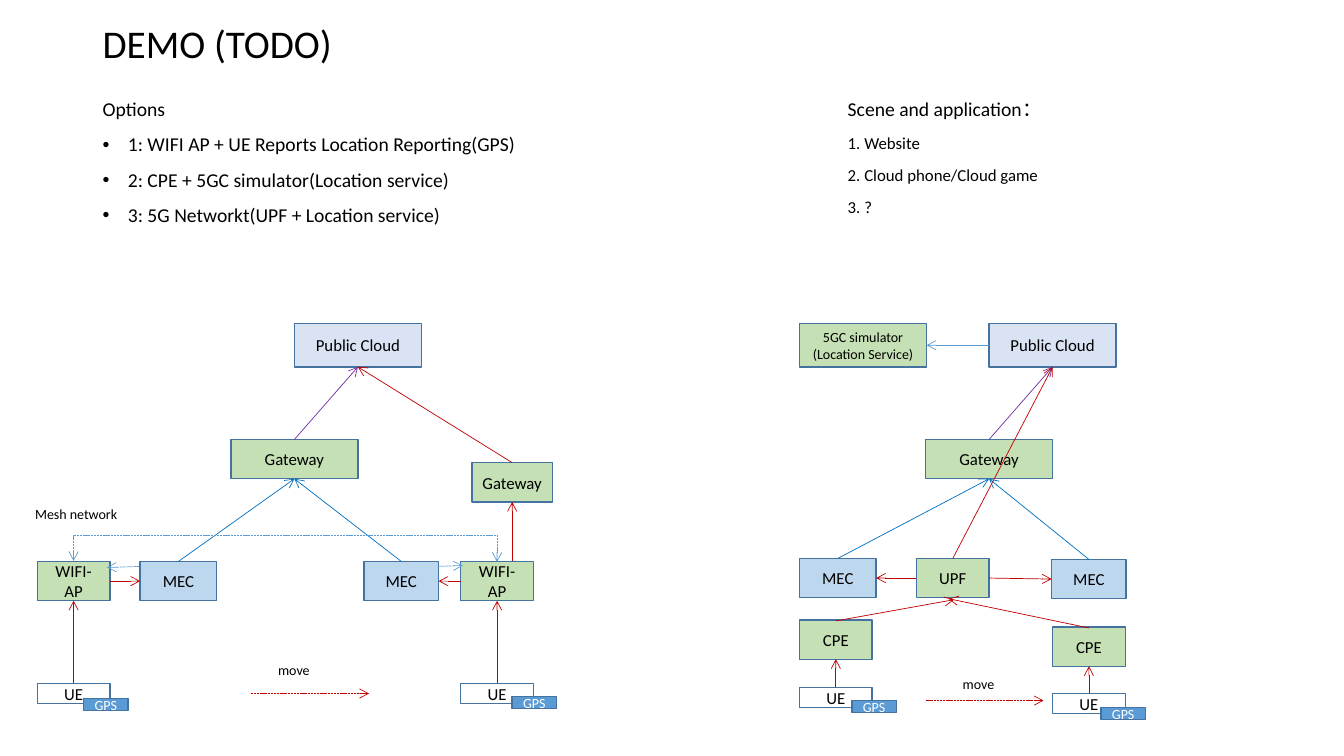
import lxml.etree
import pptx
import pptx.dml.color
import pptx.enum.dml
import pptx.enum.shapes
import pptx.enum.text
import pptx.oxml.ns
import pptx.util

SCALE = 9144
COLORS = {
    "black": "000000", "white": "FFFFFF", "border": "43739E", "green": "C5E0B4",
    "sky": "BDD7EE", "lavender": "DAE3F3", "blue": "5B9BD5", "red": "C00000",
    "uplink": "0070C0", "purple": "7030A0",
}
TOP, LEFT, BOTTOM, RIGHT = range(4)
CLOUD, GATEWAY, RADIO, UE, GPS = (126, 43), (126, 39), (72, 39), (72, 20), (44, 12)


def px(length):
    """Turn px into EMU."""
    return pptx.util.Emu(int(length * SCALE))


def rgb(name):
    """Look up a named colour."""
    return pptx.dml.color.RGBColor.from_string(COLORS[name])


def add_xml(parent, tag, **attributes):
    """Append a DrawingML element to a parent."""
    return lxml.etree.SubElement(parent, pptx.oxml.ns.qn(tag), attributes)


def write(frame, lines, size=12, color="black", align="LEFT", anchor="TOP",
          spacing=None, before=None, bullet=False):
    """Add lines as paragraphs, using up the empty first one."""
    frame.word_wrap = True
    frame.vertical_anchor = getattr(pptx.enum.text.MSO_ANCHOR, anchor)
    for line in lines:
        last = frame.paragraphs[-1]
        paragraph = frame.add_paragraph() if last.runs else last
        paragraph.alignment = getattr(pptx.enum.text.PP_ALIGN, align)
        if spacing:
            paragraph.line_spacing = spacing
        if before:
            paragraph.space_before = pptx.util.Pt(before)
        run = paragraph.add_run()
        run.text = line
        run.font.name = "Calibri"
        run.font.size = pptx.util.Pt(size)
        run.font.color.rgb = rgb(color)
        if bullet:
            properties = paragraph._p.get_or_add_pPr()
            properties.set("marL", str(px(25)))
            properties.set("indent", str(px(-25)))
            add_xml(properties, "a:buFont", typeface="Arial")
            add_xml(properties, "a:buChar", char="•")


def text_frame(slide, left, top, width, height):
    """Add an empty text box and return its frame."""
    return slide.shapes.add_textbox(px(left), px(top), px(width), px(height)).text_frame


def node(slide, origin, offset, size, label, fill=None, font=12, color="black"):
    """Draw a labelled network element."""
    left, top = origin[0] + offset[0], origin[1] + offset[1]
    element = slide.shapes.add_shape(
        pptx.enum.shapes.MSO_SHAPE.RECTANGLE, px(left), px(top), px(size[0]), px(size[1]))
    element.shadow.inherit = False
    if fill:
        element.fill.solid()
        element.fill.fore_color.rgb = rgb(fill)
    else:
        element.fill.background()
    element.line.color.rgb = rgb("border")
    element.line.width = pptx.util.Pt(1)
    write(element.text_frame, label.split("\n"), size=font, color=color,
          align="CENTER", anchor="MIDDLE")
    return element


def style_line(line, color, dashed, both_ends=False):
    """Give a connector its colour, dash and open arrowheads."""
    line.line.color.rgb = rgb(color)
    line.line.width = pptx.util.Pt(0.5)
    if dashed:
        line.line.dash_style = pptx.enum.dml.MSO_LINE.SQUARE_DOT
    outline = line._element.spPr.find(pptx.oxml.ns.qn("a:ln"))
    if both_ends:
        add_xml(outline, "a:headEnd", type="arrow")
    add_xml(outline, "a:tailEnd", type="arrow")
    add_xml(line._element.spPr, "a:effectLst")


def arrow(slide, origin, start, end, color="red", dashed=False):
    """Draw an arrow between two points of a diagram."""
    ends = [px(origin[axis] + point[axis]) for point in (start, end) for axis in (0, 1)]
    line = slide.shapes.add_connector(pptx.enum.shapes.MSO_CONNECTOR.STRAIGHT, *ends)
    style_line(line, color, dashed)
    return line


def link(slide, source, source_side, target, target_side, color="red"):
    """Glue an arrow to the sides of two network elements."""
    line = arrow(slide, (0, 0), (0, 0), (0, 0), color)
    line.begin_connect(source, source_side)
    line.end_connect(target, target_side)


def mesh_link(slide, origin, start_x, end_x, y, rise):
    """Draw the dashed elbow that rises above two access points."""
    span, middle = end_x - start_x, origin[0] + (start_x + end_x) / 2
    line = slide.shapes.add_connector(
        pptx.enum.shapes.MSO_CONNECTOR.ELBOW, 0, 0, px(1), px(span))
    line.left, line.top = px(middle - 0.5), px(origin[1] + y - span / 2)
    frame = line._element.spPr.find(pptx.oxml.ns.qn("a:xfrm"))
    frame.set("rot", "16200000")
    frame.set("flipH", "1")
    geometry = line._element.spPr.find(pptx.oxml.ns.qn("a:prstGeom"))
    guides = geometry.find(pptx.oxml.ns.qn("a:avLst"))
    add_xml(guides, "a:gd", name="adj1", fmla=f"val {-rise * 100000}")
    style_line(line, "blue", True, both_ends=True)


def movement(slide, origin, start, label_offset, label_width):
    """Draw the dashed arrow along which the device moves."""
    arrow(slide, origin, start, (start[0] + 117, start[1]), dashed=True)
    write(text_frame(slide, origin[0] + label_offset[0], origin[1] + label_offset[1],
                     label_width, 27), ["move"], size=10)


def device(slide, origin, offset, gps_offset, radio):
    """Draw a UE with its GPS tag and its arrow to the radio above."""
    ue = node(slide, origin, offset, UE, "UE")
    link(slide, ue, TOP, radio, BOTTOM)
    node(slide, origin, gps_offset, GPS, "GPS", "blue", font=10, color="white")


def heading(slide, left, top, width, height):
    """Write the slide title."""
    write(text_frame(slide, left, top, width, height), ["DEMO (TODO)"], size=28,
          anchor="MIDDLE", spacing=0.9)


def options(slide, left, top, width, height):
    """List the demo options."""
    frame = text_frame(slide, left, top, width, height)
    write(frame, ["Options"], size=14, spacing=0.9, before=10)
    write(frame, ["1: WIFI AP + UE Reports Location Reporting(GPS)",
                  "2: CPE + 5GC simulator(Location service)",
                  "3: 5G Networkt(UPF + Location service)"],
          size=14, spacing=0.9, before=10, bullet=True)


def scenes(slide, left, top, width, height):
    """List the scenes and applications."""
    frame = text_frame(slide, left, top, width, height)
    write(frame, ["Scene and application："], size=14, spacing=0.9, before=10)
    write(frame, ["1. Website", "2. Cloud phone/Cloud game", "3. ?"],
          spacing=0.9, before=10)


def wifi_diagram(slide, *origin):
    """Draw the option with meshed WIFI access points."""
    cloud = node(slide, origin, (267, 0), CLOUD, "Public Cloud", "lavender")
    gateway = node(slide, origin, (204, 115), GATEWAY, "Gateway", "green")
    side_gateway = node(slide, origin, (443, 138), (80, 39), "Gateway", "green")
    link(slide, gateway, TOP, cloud, BOTTOM, "purple")
    link(slide, side_gateway, TOP, cloud, BOTTOM)
    arrow(slide, origin, (483, 236), (483, 177))
    for ap_x, mec_x, mec_width, ap_side, mec_side, gps_offset in (
            (12, 114, 76, RIGHT, LEFT, (58, 372)),
            (432, 336, 74, LEFT, RIGHT, (483, 370))):
        access_point = node(slide, origin, (ap_x, 236), RADIO, "WIFI-AP", "green")
        mec = node(slide, origin, (mec_x, 236), (mec_width, 39), "MEC", "sky")
        link(slide, access_point, ap_side, mec, mec_side)
        link(slide, mec, TOP, gateway, BOTTOM, "uplink")
        device(slide, origin, (ap_x, 357), gps_offset, access_point)
    mesh_link(slide, origin, 48, 468, 236, 26)
    arrow(slide, origin, (113, 241), (81, 242), "blue", dashed=True)
    arrow(slide, origin, (409, 241), (434, 240), "blue", dashed=True)
    write(text_frame(slide, origin[0], origin[1] + 176, 113, 27), ["Mesh network"], size=10)
    movement(slide, origin, (224, 367), (241, 330), 80)


def core_diagram(slide, *origin):
    """Draw the option with CPE, UPF and the 5GC simulator."""
    simulator = node(slide, origin, (0, 0), CLOUD,
                     "5GC simulator\n(Location Service)", "green", font=10)
    cloud = node(slide, origin, (188, 0), CLOUD, "Public Cloud", "lavender")
    gateway = node(slide, origin, (125, 115), GATEWAY, "Gateway", "green")
    upf = node(slide, origin, (116, 233), RADIO, "UPF", "green")
    link(slide, cloud, LEFT, simulator, RIGHT, "blue")
    link(slide, gateway, TOP, cloud, BOTTOM, "purple")
    link(slide, upf, TOP, cloud, BOTTOM)
    for mec_offset, mec_width, upf_side, mec_side, cpe, upf_entry, ue, gps in (
            ((0, 233), 76, LEFT, RIGHT, (0, 294), (153, 274), (0, 361), (52, 374)),
            ((250, 234), 74, RIGHT, LEFT, (251, 301), (148, 273), (251, 367), (299, 381))):
        mec = node(slide, origin, mec_offset, (mec_width, 39), "MEC", "sky")
        link(slide, upf, upf_side, mec, mec_side)
        link(slide, mec, TOP, gateway, BOTTOM, "uplink")
        radio = node(slide, origin, cpe, RADIO, "CPE", "green")
        arrow(slide, origin, (cpe[0] + 36, cpe[1] + 1), upf_entry)
        device(slide, origin, ue, gps, radio)
    movement(slide, origin, (125, 374), (152, 344), 62)


def main():
    """Build and save the slide."""
    deck = pptx.Presentation()
    deck.slide_width, deck.slide_height = px(1333), px(750)
    slide = deck.slides.add_slide(deck.slide_layouts[6])
    heading(slide, 92, 19, 1150, 53)
    options(slide, 92, 94, 677, 192)
    scenes(slide, 831, 94, 476, 164)
    wifi_diagram(slide, 25, 321)
    core_diagram(slide, 793, 321)
    deck.save("out.pptx")


if __name__ == "__main__":
    main()
